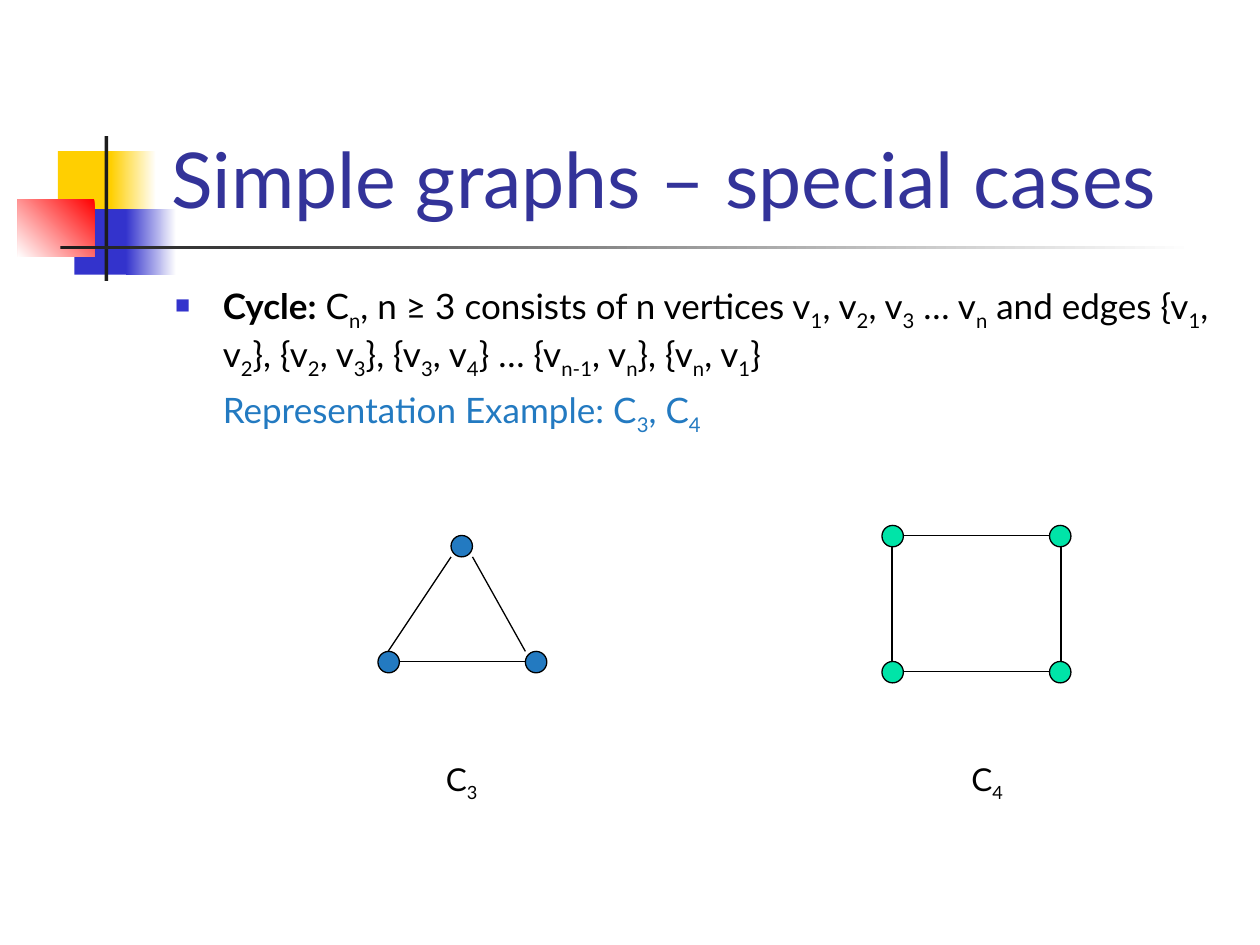
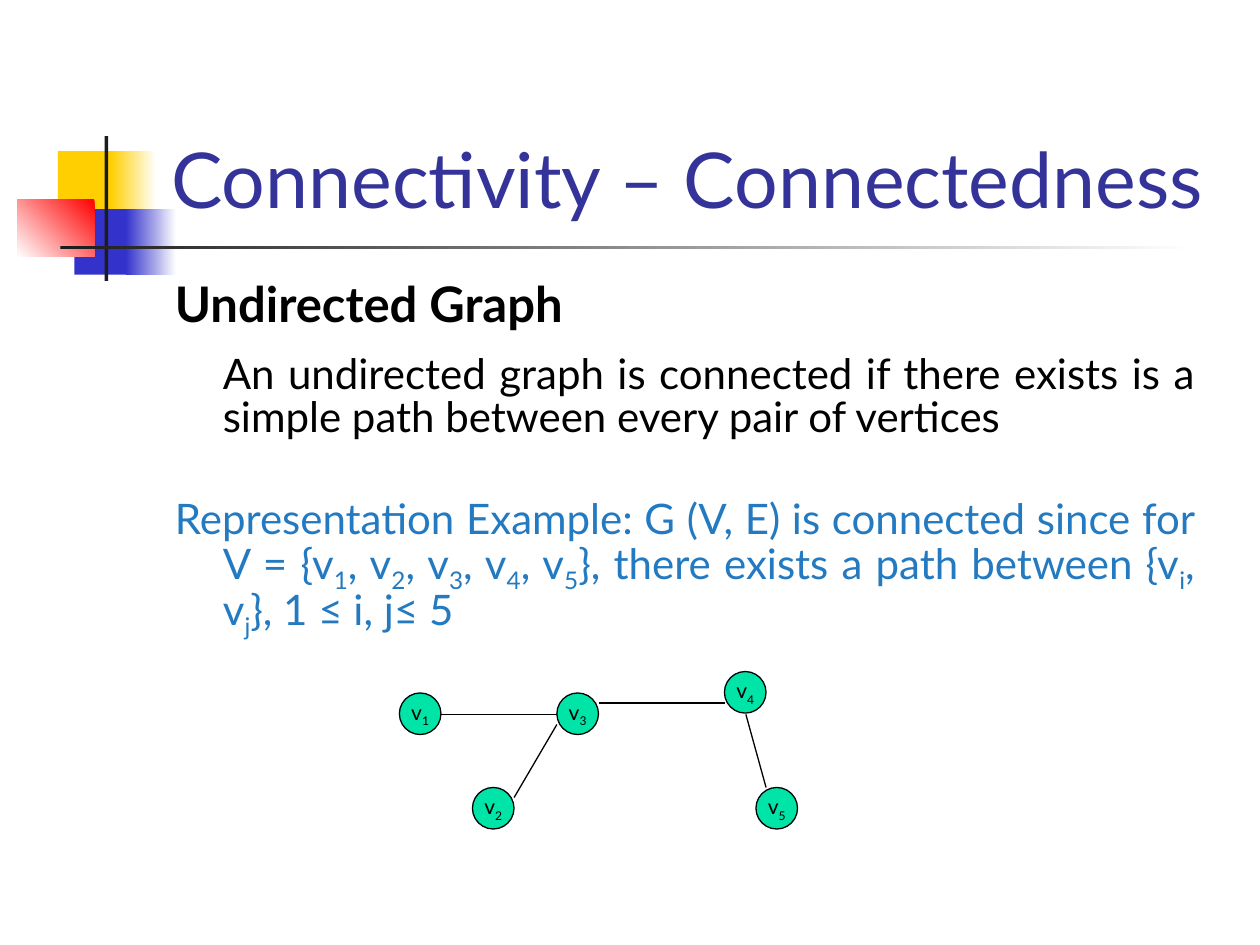
from lxml.etree import SubElement
from pptx import Presentation
from pptx.dml.color import RGBColor
from pptx.enum.shapes import MSO_CONNECTOR, MSO_SHAPE
from pptx.enum.text import MSO_ANCHOR, PP_ALIGN
from pptx.oxml.ns import qn
from pptx.util import Inches, Pt

RECT, OVAL = MSO_SHAPE.RECTANGLE, MSO_SHAPE.OVAL
LINE = MSO_CONNECTOR.STRAIGHT
BOTTOM, MIDDLE, TOP = MSO_ANCHOR.BOTTOM, MSO_ANCHOR.MIDDLE, MSO_ANCHOR.TOP
LEFT, CENTER, JUST = PP_ALIGN.LEFT, PP_ALIGN.CENTER, PP_ALIGN.JUSTIFY

FONT = "Lato"
WHITE = RGBColor(0xFF, 0xFF, 0xFF)
BLACK = RGBColor(0, 0, 0)
NAVY = RGBColor(0x33, 0x33, 0x99)
BLUE = RGBColor(0x33, 0x33, 0xCC)
GOLD = RGBColor(0xFF, 0xCF, 0x01)
RED = RGBColor(0xFF, 0, 0)
INK = RGBColor(0x1C, 0x1C, 0x1C)
SKY = RGBColor(0x23, 0x7A, 0xC1)
MINT = RGBColor(0x00, 0xE4, 0xA8)

HANG = Inches(0.38)
DOT, BALL = 0.17, 0.33

BANDS = [
    ((0.46, 1.2, 0.48, 0.52), GOLD, None),
    ((0.88, 1.2, 0.36, 0.52), GOLD, 0),
    ((0.59, 1.66, 0.46, 0.52), BLUE, None),
    ((1, 1.66, 0.4, 0.52), BLUE, 0),
    ((0.14, 1.58, 0.61, 0.46), RED, 225),
    ((0.83, 1.08, 0.03, 1.15), INK, None),
    ((0.48, 1.95, 9, 0.03), INK, 0),
]


def add_form(slide, kind, area, color, edge=None, fade=None):
    """Add a preset shape, solid or fading to white at an angle."""
    form = slide.shapes.add_shape(kind, *map(Inches, area))
    form.shadow.inherit = False
    if fade is None:
        form.fill.solid()
        form.fill.fore_color.rgb = color
    else:
        form.fill.gradient()
        form.fill.gradient_angle = fade
        for stop, tone in zip(form.fill.gradient_stops, (color, WHITE)):
            stop.color.rgb = tone
    if edge is None:
        form.line.fill.background()
    else:
        form.line.color.rgb = edge
        form.line.width = Pt(0.75)
    return form


def write(para, text, size, color=BLACK, lead=""):
    """Write a bold lead, then text whose parts between bars are subscripts."""
    parts = [(lead, True, False)]
    parts += [(part, False, i % 2 == 1) for i, part in enumerate(text.split("|"))]
    for part, bold, sub in parts:
        if not part:
            continue
        run = para.add_run()
        run.text = part
        run.font.name = FONT
        run.font.size = Pt(size)
        run.font.bold = bold
        run.font.color.rgb = color
        if sub:
            run.font._element.set("baseline", "-25000")


def add_box(slide, area, anchor=TOP):
    """Add a wrapping text box and return its frame."""
    frame = slide.shapes.add_textbox(*map(Inches, area)).text_frame
    frame.word_wrap = True
    frame.vertical_anchor = anchor
    return frame


def set_para(para, left=HANG, first=0, before=0, space=1.0, align=LEFT):
    """Set the indents, spacing and alignment of a paragraph."""
    props = para._p.get_or_add_pPr()
    props.set("marL", str(left))
    props.set("indent", str(first))
    para.alignment = align
    para.line_spacing = space
    para.space_before = Pt(before)


def add_bullet(para, color):
    """Give a paragraph a small square bullet."""
    props = para._p.get_or_add_pPr()
    tint = SubElement(props, qn("a:buClr"))
    SubElement(tint, qn("a:srgbClr"), val=str(color))
    SubElement(props, qn("a:buSzPct"), val="60000")
    SubElement(props, qn("a:buChar"), char="■")


def add_label(form, text, size):
    """Centre a label on a shape without wrapping."""
    frame = form.text_frame
    frame.word_wrap = False
    frame.vertical_anchor = MIDDLE
    para = frame.paragraphs[0]
    para.alignment = CENTER
    write(para, text, size)


def add_node(slide, spot, size, color, text=""):
    """Add a round vertex with an optional label."""
    node = add_form(slide, OVAL, (*spot, size, size), color, BLACK)
    if text:
        add_label(node, text, 12)


def add_edges(slide, edges):
    """Draw thin black lines between pairs of points."""
    for edge in edges:
        line = slide.shapes.add_connector(LINE, *map(Inches, edge))
        line.line.color.rgb = BLACK
        line.line.width = Pt(0.75)
        SubElement(line._element.spPr, qn("a:effectLst"))


def add_page(deck, title):
    """Add a slide with the shared bands and title."""
    slide = deck.slides.add_slide(deck.slide_layouts[6])
    for area, color, fade in BANDS:
        add_form(slide, RECT, area, color, fade=fade)
    frame = add_box(slide, (1.26, 0.23, 8.52, 1.6), BOTTOM)
    write(frame.paragraphs[0], title, 44, NAVY)
    return slide


def add_cycles(deck):
    """Build the slide on cycle graphs."""
    slide = add_page(deck, "Simple graphs – special cases")
    frame = add_box(slide, (1.29, 2.21, 8.5, 1.71))
    para = frame.paragraphs[0]
    set_para(para, first=-HANG)
    add_bullet(para, BLUE)
    write(para, " C|n|, n ≥ 3 consists of n vertices v|1|, v|2|, v|3| … v|n| and edges "
          "{v|1|, v|2|}, {v|2|, v|3|}, {v|3|, v|4|} … {v|n-1|, v|n|}, {v|n|, v|1|}",
          20, lead="Cycle:")
    para = frame.add_paragraph()
    set_para(para, before=5)
    write(para, "Representation Example: C|3|, C|4|", 20, SKY)

    for spot in ((3, 5.17), (4.17, 5.17), (3.58, 4.25)):
        add_node(slide, spot, DOT, SKY)
    for top in (4.17, 5.25):
        for left in (7, 8.33):
            add_node(slide, (left, top), DOT, MINT)
    add_edges(slide, [
        (3.17, 5.25, 4.17, 5.25),
        (3.75, 4.42, 4.17, 5.17),
        (3.58, 4.42, 3.08, 5.17),
    ])
    add_edges(slide, [(7.17, y, 8.33, y) for y in (4.25, 5.33)])
    add_edges(slide, [(x, 4.33, x, 5.25) for x in (7.08, 8.42)])
    for left, text in ((3.5, "C|3|"), (7.67, "C|4|")):
        plate = add_form(slide, RECT, (left, 6.08, 0.33, 0.25), WHITE, WHITE)
        add_label(plate, text, 18)


def add_links(deck):
    """Build the slide on connected graphs."""
    slide = add_page(deck, "Connectivity – Connectedness")
    frame = add_box(slide, (1.29, 2.21, 8.29, 3.13))
    para = frame.paragraphs[0]
    set_para(para, first=-HANG, space=0.8)
    write(para, "", 28, lead="Undirected Graph")
    para = frame.add_paragraph()
    set_para(para, before=13, space=0.86, align=JUST)
    write(para, "An undirected graph is connected if there exists is a simple path "
          "between every pair of vertices", 24)
    para = frame.add_paragraph()
    set_para(para, first=-HANG, before=35, space=0.8, align=JUST)
    write(para, "Representation Example: G (V, E) is connected since for "
          "V = {v|1|, v|2|, v|3|, v|4|, v|5|}, there exists a path between "
          "{v|i|, v|j|}, 1 ≤ i, j≤ 5", 24, SKY)

    spots = [(3.17, 5.5), (3.75, 6.25), (4.42, 5.5), (5.75, 5.33), (6, 6.25)]
    for i, spot in enumerate(spots, 1):
        add_node(slide, spot, BALL, MINT, f"v|{i}|")
    add_edges(slide, [
        (3.5, 5.67, 4.42, 5.67),
        (4.08, 6.33, 4.42, 5.75),
        (4.75, 5.58, 5.75, 5.58),
        (5.92, 5.67, 6.08, 6.25),
    ])


def main():
    """Build and save the deck."""
    deck = Presentation()
    deck.slide_width, deck.slide_height = Inches(10), Inches(7.5)
    add_cycles(deck)
    add_links(deck)
    deck.save("out.pptx")


if __name__ == "__main__":
    main()
